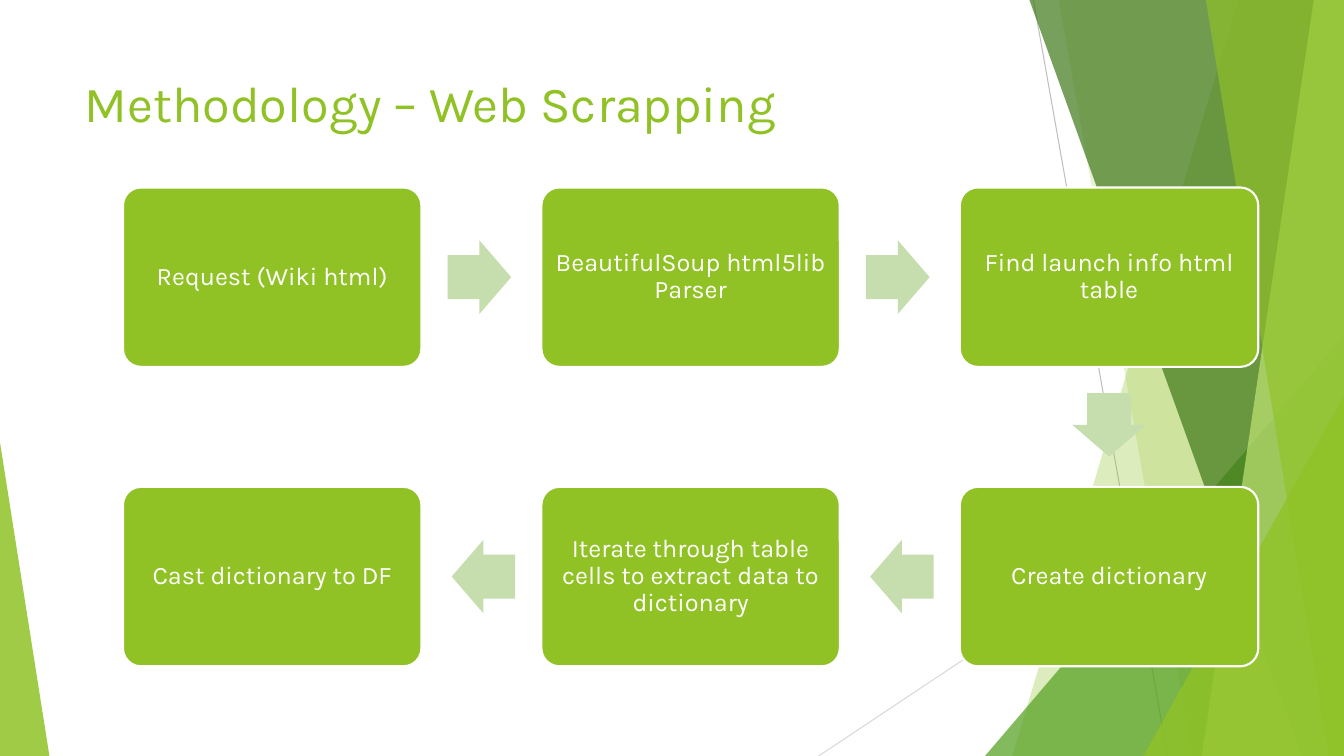
from lxml import etree
from pptx import Presentation
from pptx import util as u
from pptx.dml.color import RGBColor
from pptx.enum import shapes, text
from pptx.oxml.ns import qn

COLORS = {
    "green": "90C226", "leaf": "54A021", "forest": "3F7819", "lime": "C0E474",
    "arrow": "C6DDAD", "white": "FFFFFF", "gray": "BFBFBF", "silver": "D9D9D9",
}
FONT = "Karla"
WIDTH, HEIGHT = 13.33, 7.5


def fill_shape(shape, color, opacity=100):
    shape.shadow.inherit = False
    shape.line.fill.background()
    shape.fill.solid()
    shape.fill.fore_color.rgb = RGBColor.from_string(COLORS[color])
    if opacity < 100:
        tint = shape.fill._xPr.find(".//" + qn("a:srgbClr"))
        etree.SubElement(tint, qn("a:alpha"), val=str(opacity * 1000))


def add_span(para, words, size, color):
    span = para.add_run()
    span.text = words
    span.font.name = FONT
    span.font.size = u.Pt(size)
    span.font.color.rgb = RGBColor.from_string(COLORS[color])


deck = Presentation()
deck.slide_width = u.Inches(WIDTH)
deck.slide_height = u.Inches(HEIGHT)
page = deck.slides.add_slide(deck.slide_layouts[5])

for x1, y1, x2, y2, color in [
    (10.25, 0, 11.58, HEIGHT, "gray"),
    (WIDTH, 4.03, 8.12, HEIGHT, "silver"),
]:
    line = page.shapes.add_connector(
        shapes.MSO_CONNECTOR.STRAIGHT,
        u.Inches(x1), u.Inches(y1), u.Inches(x2), u.Inches(y2))
    line.line.width = u.Pt(0.75)
    line.line.color.rgb = RGBColor.from_string(COLORS[color])
    etree.SubElement(line._element.spPr, qn("a:effectLst"))

facets = [
    ("band", (12.28, 10.04), "green", 30),
    ("band", (10.5, 11.83), "green", 20),
    ("triangle", (9.77, 3.33, 3.56, 1), "leaf", 72),
    ("band", (10.21, 12.91), "forest", 70),
    ("band", (13.03, 11.92), "lime", 70),
    ("band", (11.96, 13.18), "green", 65),
    ("triangle", (11.34, 3.93, 1.99, 1), "green", 80),
    ("triangle", (0, 4.39, 0.49, 0), "green", 85),
]
for kind, place, color, opacity in facets:
    if kind == "band":
        top_x, bottom_x = place
        corners = [(WIDTH, 0), (WIDTH, HEIGHT), (bottom_x, HEIGHT)]
        outline = page.shapes.build_freeform(u.Inches(top_x), 0)
        outline.add_line_segments([(u.Inches(x), u.Inches(y)) for x, y in corners])
        facet = outline.convert_to_shape()
    else:
        left, top, width, apex = place
        facet = page.shapes.add_shape(
            shapes.MSO_SHAPE.ISOSCELES_TRIANGLE,
            u.Inches(left), u.Inches(top), u.Inches(width), u.Inches(HEIGHT - top))
        facet.adjustments[0] = apex
    fill_shape(facet, color, opacity)

title = page.shapes.title
title._element.getparent().append(title._element)
title.left, title.top = u.Inches(0.74), u.Inches(0.67)
title.width, title.height = u.Inches(9.4), u.Inches(1.44)
title.text_frame.vertical_anchor = text.MSO_ANCHOR.TOP
title.text_frame.word_wrap = True
heading = title.text_frame.paragraphs[0]
heading.alignment = text.PP_ALIGN.LEFT
add_span(heading, "Methodology – Web Scrapping", 36, "green")

BOX_W, BOX_H = 2.96, 1.78
ARROW_W, ARROW_H = 0.63, 0.73
ARROW_GAP = 0.26
steps = [
    ("Request (Wiki html)", 0, 0),
    ("BeautifulSoup html5lib Parser", 1, 0),
    ("Find launch info html table", 2, 0),
    ("Create dictionary", 2, 1),
    ("Iterate through table cells to extract data to dictionary", 1, 1),
    ("Cast dictionary to DF", 0, 1),
]
rotations = {(1, 0): 0, (0, 1): 90, (-1, 0): 180}

for index, (words, column, row) in enumerate(steps):
    left, top = 1.22 + 4.15 * column, 1.86 + 2.97 * row
    box = page.shapes.add_shape(
        shapes.MSO_SHAPE.ROUNDED_RECTANGLE,
        u.Inches(left), u.Inches(top), u.Inches(BOX_W), u.Inches(BOX_H))
    box.adjustments[0] = 0.1
    fill_shape(box, "green")
    box.line.color.rgb = RGBColor.from_string(COLORS["white"])
    box.line.width = u.Pt(1.5)
    frame = box.text_frame
    frame.word_wrap = True
    frame.vertical_anchor = text.MSO_ANCHOR.MIDDLE
    frame.margin_left = frame.margin_right = u.Inches(0.07)
    frame.margin_top = frame.margin_bottom = u.Inches(0.07)
    para = frame.paragraphs[0]
    para.alignment = text.PP_ALIGN.CENTER
    para.line_spacing = 0.9
    add_span(para, words, 18, "white")

    if index + 1 < len(steps):
        next_column, next_row = steps[index + 1][1:]
        dx, dy = next_column - column, next_row - row
        reach = ARROW_GAP + ARROW_W / 2
        center_x = left + BOX_W / 2 + dx * (BOX_W / 2 + reach)
        center_y = top + BOX_H / 2 + dy * (BOX_H / 2 + reach)
        arrow = page.shapes.add_shape(
            shapes.MSO_SHAPE.RIGHT_ARROW,
            u.Inches(center_x - ARROW_W / 2), u.Inches(center_y - ARROW_H / 2),
            u.Inches(ARROW_W), u.Inches(ARROW_H))
        arrow.adjustments[0] = 0.6
        arrow.adjustments[1] = 0.5
        arrow.rotation = rotations[dx, dy]
        fill_shape(arrow, "arrow")

deck.save("out.pptx")
